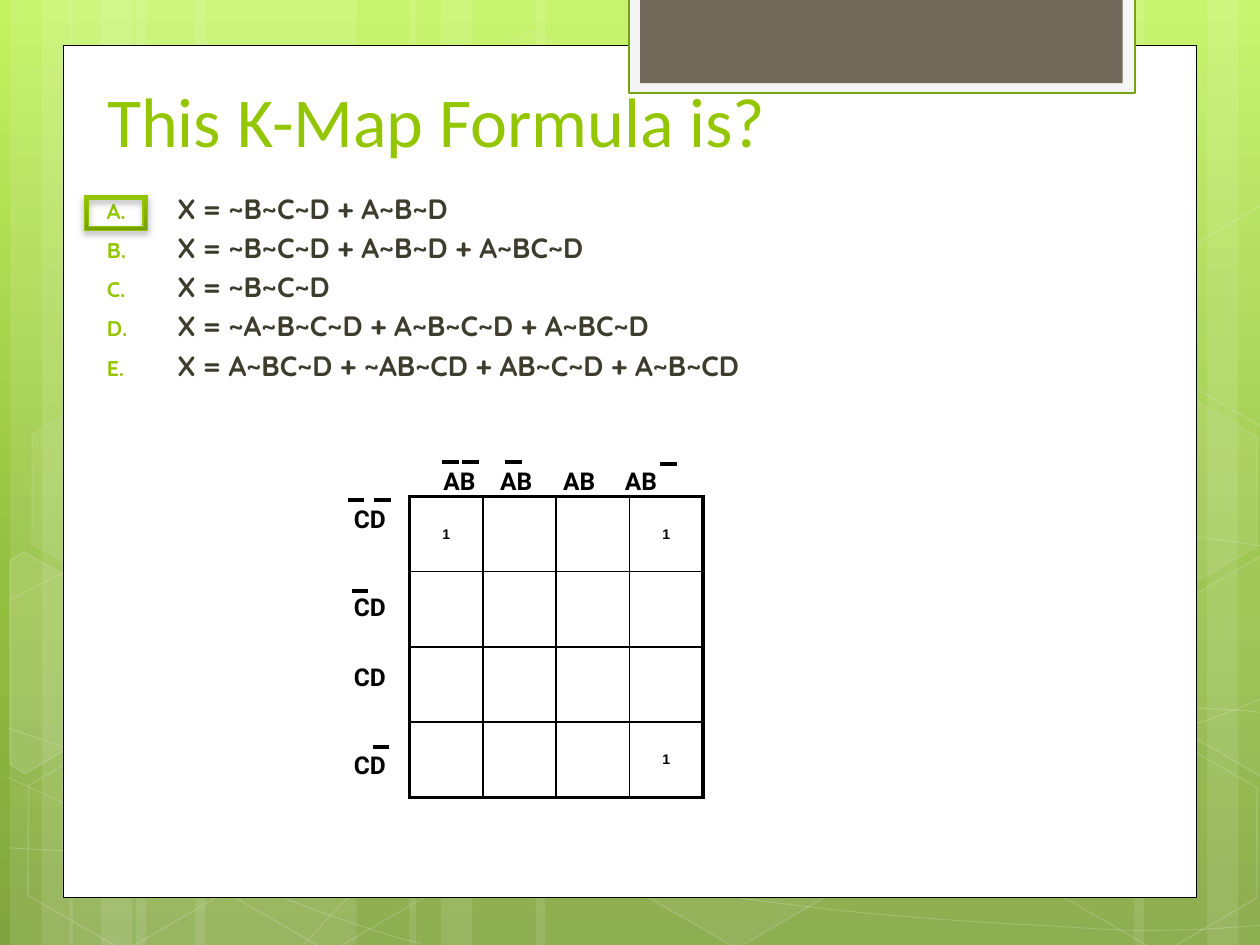
from dataclasses import dataclass

from lxml import etree
from pptx import Presentation
from pptx.dml.color import RGBColor
from pptx.enum import shapes, text
from pptx.oxml import ns
from pptx import util as u


@dataclass(frozen=True)
class Theme:
    green: str = "94C600"
    dark_green: str = "769D00"
    edge_green: str = "74A510"
    white: str = "FFFFFF"
    pale: str = "F5F5F5"
    brown: str = "71685A"
    ink: str = "3E3D2D"
    black: str = "000000"
    backdrop: tuple = ((0, "C3F35F"), (62, "93BF3F"), (100, "81A53E"))
    title_font: str = "Calibri"
    answer_font: str = "Quicksand"
    label_font: str = "Roboto"
    cell_font: str = "Arial"
    title_size: int = 40
    answer_size: int = 16
    label_size: int = 14
    cell_size: int = 8
    thin: float = 1
    thick: float = 2.25


def add(parent, tag, **attributes):
    values = {name: str(value) for name, value in attributes.items()}
    return etree.SubElement(parent, ns.qn(tag), values)


class SlideMaker:
    def __init__(self, deck, theme):
        self.theme = theme
        self.page = deck.slides.add_slide(deck.slide_layouts[5])

    def gradient(self, fill, owner, stops):
        fill.gradient()
        fill.gradient_angle = 270
        stop_list = next(owner.iter(ns.qn("a:gsLst")))
        for stop in list(stop_list):
            stop_list.remove(stop)
        for position, color in stops:
            add(add(stop_list, "a:gs", pos=position * 1000), "a:srgbClr", val=color)

    def style(self, shape, fill=None, alpha=100, line=None, width=1, line_alpha=100):
        shape.shadow.inherit = False
        if fill:
            shape.fill.solid()
            shape.fill.fore_color.rgb = RGBColor.from_string(fill)
        else:
            shape.fill.background()
        if line:
            shape.line.color.rgb = RGBColor.from_string(line)
            shape.line.width = u.Pt(width)
        else:
            shape.line.fill.background()
        for color in shape.element.spPr.iter(ns.qn("a:srgbClr")):
            in_line = color.getparent().getparent().tag == ns.qn("a:ln")
            percent = line_alpha if in_line else alpha
            if percent < 100:
                add(color, "a:alpha", val=percent * 1000)

    def shape(self, kind, place, **style):
        shape = self.page.shapes.add_shape(kind, *map(u.Inches, place))
        self.style(shape, **style)
        return shape

    def hexagon(self, left, top, alpha, line_alpha):
        fill = self.theme.white if alpha else None
        shape = self.shape(shapes.MSO_SHAPE.HEXAGON, (left, top, 1.75, 1.52), fill=fill,
                           alpha=alpha, line=self.theme.white, line_alpha=line_alpha)
        shape.adjustments[0] = 0.285
        shape.rotation = 30

    def outline(self, points, close, **style):
        spots = [(u.Inches(x), u.Inches(y)) for x, y in points]
        builder = self.page.shapes.build_freeform(*spots[0])
        builder.add_line_segments(spots[1:], close=close)
        shape = builder.convert_to_shape()
        self.style(shape, line=self.theme.white, **style)
        return shape

    def curve(self, start, *curves):
        anchors = [start] + [curve[-2:] for curve in curves]
        shape = self.outline(anchors, False, width=0.5, line_alpha=20)
        segments = list(shape.element.iter(ns.qn("a:lnTo")))
        for segment, curve in zip(segments, curves):
            bend = etree.Element(ns.qn("a:cubicBezTo"))
            for x, y in zip(curve[::2], curve[1::2]):
                add(bend, "a:pt", x=u.Inches(x) - shape.left, y=u.Inches(y) - shape.top)
            segment.getparent().replace(segment, bend)

    def bar(self, left, top):
        line = self.page.shapes.add_connector(
            shapes.MSO_CONNECTOR.STRAIGHT, *map(u.Inches, (left, top, left + 0.13, top)))
        line.line.color.rgb = RGBColor.from_string(self.theme.black)
        line.line.width = u.Pt(self.theme.thick)
        add(line.element.spPr, "a:effectLst")

    def span(self, para, words, font, size, color, bold=True):
        span = para.add_run()
        span.text = words
        span.font.name = font
        span.font.size = u.Pt(size)
        span.font.bold = bold
        span.font.color.rgb = RGBColor.from_string(color)

    def title(self, words, place):
        box = self.page.shapes.title
        box.left, box.top, box.width, box.height = map(u.Inches, place)
        frame = box.text_frame
        frame.auto_size = text.MSO_AUTO_SIZE.NONE
        frame.vertical_anchor = text.MSO_ANCHOR.BOTTOM
        para = frame.paragraphs[0]
        para.alignment = text.PP_ALIGN.LEFT
        self.span(para, words, self.theme.title_font, self.theme.title_size, self.theme.green, False)
        self.page.shapes.element.append(box.element)

    def paragraphs(self, place, count):
        frame = self.page.shapes.add_textbox(*map(u.Inches, place)).text_frame
        frame.word_wrap = True
        return [frame.paragraphs[0]] + [frame.add_paragraph() for _ in range(count - 1)]

    def answers(self, place, answers):
        for index, (para, words) in enumerate(zip(self.paragraphs(place, len(answers)), answers)):
            layout = para._p.get_or_add_pPr()
            layout.set("marL", str(u.Inches(0.56)))
            layout.set("indent", str(u.Inches(-0.56)))
            add(add(layout, "a:buClr"), "a:srgbClr", val=self.theme.green)
            add(layout, "a:buSzPct", val=76000)
            add(layout, "a:buAutoNum", type="alphaUcPeriod")
            if index:
                para.space_before = u.Pt(self.theme.answer_size * 0.2)
            self.span(para, words, self.theme.answer_font, self.theme.answer_size, self.theme.ink)

    def label(self, para, words):
        self.span(para, words, self.theme.label_font, self.theme.label_size, self.theme.black)

    def column_labels(self, place, labels, stops):
        para = self.paragraphs(place, 1)[0]
        tabs = add(para._p.get_or_add_pPr(), "a:tabLst")
        for stop in stops:
            add(tabs, "a:tab", pos=u.Inches(stop), algn="l")
        self.label(para, "\t".join(labels))

    def row_labels(self, place, labels, gaps):
        for para, words, gap in zip(self.paragraphs(place, len(labels)), labels, gaps):
            para.line_spacing = 0.6
            if gap:
                para.space_before = u.Pt(gap)
            self.label(para, words)

    def border(self, cell, side, width):
        line = add(cell._tc.get_or_add_tcPr(), f"a:ln{side}", w=u.Pt(width))
        add(add(line, "a:solidFill"), "a:srgbClr", val=self.theme.black)

    def karnaugh_map(self, place, size, ones):
        table = self.page.shapes.add_table(size, size, *map(u.Inches, place)).table
        table.first_row = table.horz_banding = False
        last = size - 1
        for row in range(size):
            for column in range(size):
                cell = table.cell(row, column)
                outer = {"L": column == 0, "R": column == last, "T": row == 0, "B": row == last}
                for side, is_outer in outer.items():
                    self.border(cell, side, self.theme.thick if is_outer else self.theme.thin)
                cell.fill.background()
                cell.vertical_anchor = text.MSO_ANCHOR.MIDDLE
                if (row, column) in ones:
                    para = cell.text_frame.paragraphs[0]
                    para.alignment = text.PP_ALIGN.CENTER
                    self.span(para, "1", self.theme.cell_font, self.theme.cell_size, self.theme.black)

    def answer_frame(self, place):
        frame = self.shape(shapes.MSO_SHAPE.FRAME, place, line=self.theme.green, width=0.75)
        properties = frame.element.spPr
        self.gradient(frame.fill, properties, ((0, self.theme.green), (100, self.theme.dark_green)))
        effects = properties.find(ns.qn("a:effectLst"))
        shadow = add(effects, "a:outerShdw", blurRad=u.Pt(4), dist=u.Pt(2), dir=5400000, rotWithShape=0)
        add(add(shadow, "a:srgbClr", val=self.theme.black), "a:alpha", val=28000)

    def backdrop(self):
        theme, rectangle = self.theme, shapes.MSO_SHAPE.RECTANGLE
        self.gradient(self.page.background.fill, self.page.element, theme.backdrop)
        for left, width in ((1.08, 1.75), (0.08, 0.5), (0.33, 0.83), (1.55, 1.75), (0.55, 0.5), (0.8, 0.83),
                            (7.33, 1.75), (9.58, 0.5), (9, 0.83), (4.25, 3.08), (3.25, 0.5), (3.5, 0.83)):
            self.shape(rectangle, (left, 0, width, 7.5), fill=theme.white, alpha=10)
        self.curve((0.07, 6.73), (0.61, 6.76, 1.15, 6.79, 1.9, 6.78), (2.65, 6.77, 3.58, 6.75, 4.58, 6.65),
                   (5.58, 6.55, 7, 6.36, 7.92, 6.17), (8.83, 5.98, 9.77, 5.68, 10.07, 5.51))
        self.curve((0.07, 4.77), (0.36, 4.61, 0.65, 4.46, 1.21, 4.31), (1.78, 4.16, 2.59, 3.94, 3.47, 3.87),
                   (4.36, 3.8, 5.44, 3.79, 6.54, 3.87), (7.64, 3.95, 9.47, 4.26, 10.07, 4.34))
        self.curve((0.06, 6.17), (1.27, 6.72, 2.47, 7.27, 3.34, 7.49))
        self.curve((0.07, 5.78), (0.38, 5.89, 0.7, 6, 1.28, 6.16), (1.86, 6.31, 2.73, 6.56, 3.57, 6.73),
                   (4.4, 6.9, 5.45, 7.08, 6.28, 7.18), (7.11, 7.29, 8, 7.33, 8.53, 7.36),
                   (9.05, 7.4, 9.19, 7.38, 9.45, 7.38), (9.71, 7.37, 9.89, 7.35, 10.07, 7.34))
        self.curve((2.42, 7.49), (2.6, 7.29, 2.78, 7.09, 3.02, 6.91), (3.26, 6.73, 3.6, 6.53, 3.88, 6.39),
                   (4.16, 6.25, 4.33, 6.19, 4.7, 6.09), (5.06, 5.99, 5.73, 5.85, 6.08, 5.78),
                   (6.44, 5.71, 6.49, 5.71, 6.8, 5.69), (7.11, 5.66, 7.6, 5.63, 7.94, 5.62),
                   (8.29, 5.61, 8.86, 5.62, 8.86, 5.62), (8.86, 5.62, 9.53, 5.62, 9.53, 5.62),
                   (9.71, 5.63, 9.88, 5.64, 9.97, 5.65), (10.06, 5.66, 10.03, 5.65, 10.06, 5.66))
        for hexagon in ((3.34, 0.36, 4, 8), (4.97, 5.89, 6, 12), (0.11, 5.91, 0, 12), (0.14, 3.12, 7, 8),
                        (1.74, 5.92, 0, 12), (7.53, 4.53, 10, 12), (8.34, 5.93, 0, 12), (8.34, 3.14, 7, 8)):
            self.hexagon(*hexagon)
        self.outline(((0.08, 4.45), (0.19, 4.38), (0.96, 4.82), (0.95, 5.7), (0.2, 6.14), (0.08, 6.07)),
                     True, fill=theme.white, alpha=10, line_alpha=12)
        cut_hexagon = ((9.26, 2.07), (10.01, 1.63), (10.1, 1.68), (10.09, 3.35), (10.02, 3.39), (9.26, 2.95))
        for drop, fill in ((2.78, theme.white), (0, None)):
            self.outline([(x, y + drop) for x, y in cut_hexagon], True, fill=fill, alpha=4, line_alpha=12)
        self.shape(rectangle, (0.5, 0.36, 9, 6.76), fill=theme.white, line=theme.black, width=0.5)
        self.shape(rectangle, (4.99, -0.02, 4.02, 0.76), fill=theme.pale, line=theme.edge_green, width=1.25)
        self.shape(rectangle, (5.08, -0.02, 3.83, 0.68), fill=theme.brown)


def main():
    deck = Presentation()
    deck.slide_width, deck.slide_height = u.Inches(10), u.Inches(7.5)
    maker = SlideMaker(deck, Theme())
    maker.backdrop()
    maker.title("This K-Map Formula is?", (0.75, 0.08, 7.68, 1.25))
    maker.answers((0.75, 1.47, 9.83, 4.95), (
        "X = ~B~C~D + A~B~D", "X = ~B~C~D + A~B~D + A~BC~D", "X = ~B~C~D",
        "X = ~A~B~C~D + A~B~C~D + A~BC~D", "X = A~BC~D + ~AB~CD + AB~C~D + A~B~CD"))
    maker.karnaugh_map((3.25, 3.94, 2.33, 2.39), 4, {(0, 0), (0, 3), (3, 3)})
    maker.column_labels((3.42, 3.65, 2.08, 0.33), ["AB"] * 4, (0.45, 0.95, 1.44))
    maker.row_labels((2.71, 4.03, 0.48, 2.18), ["CD"] * 4, (0, 40.4, 30.2, 40.2))
    for bar in ((3.51, 3.67), (3.67, 3.67), (4.01, 3.67), (5.24, 3.68),
                (2.76, 3.97), (2.97, 3.97), (2.79, 4.69), (2.96, 5.93)):
        maker.bar(*bar)
    maker.answer_frame((0.67, 1.55, 0.5, 0.28))
    deck.save("out.pptx")


if __name__ == "__main__":
    main()
